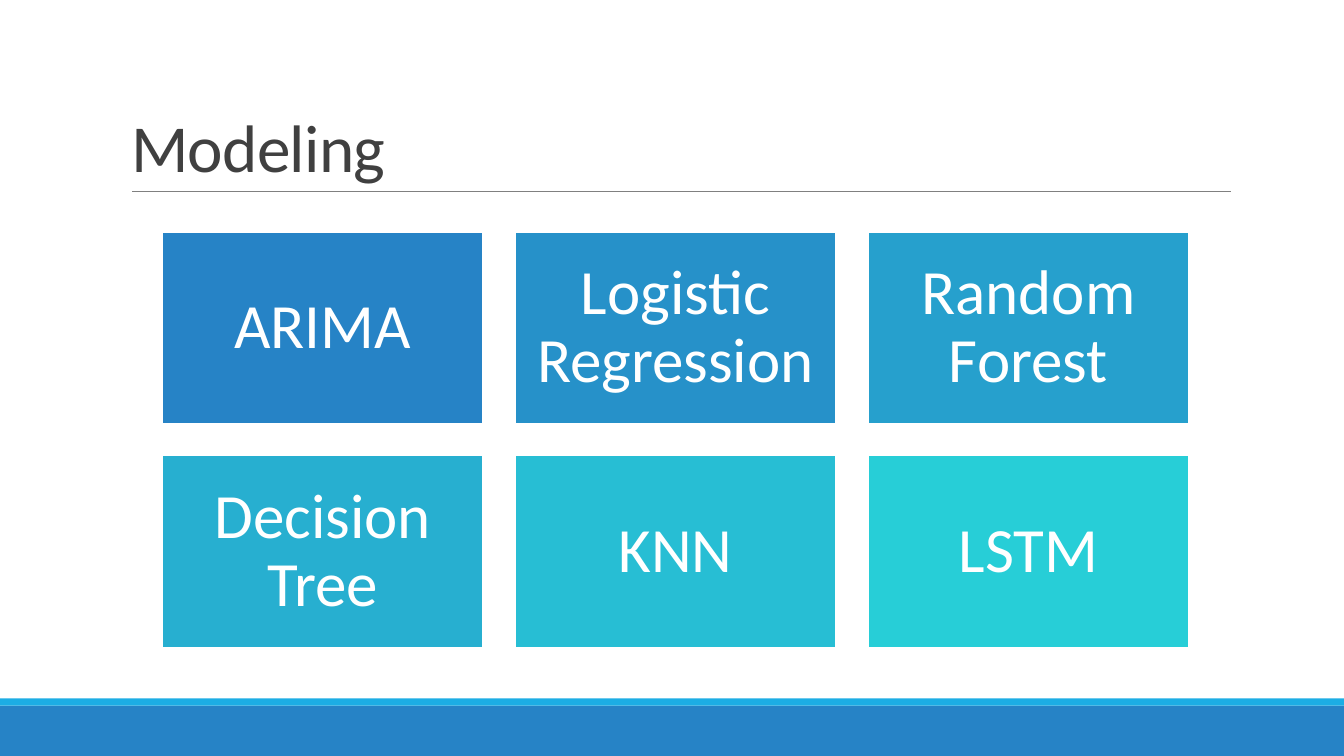
from dataclasses import dataclass

from lxml.etree import SubElement
from pptx import Presentation
from pptx.dml.color import RGBColor
from pptx.enum.shapes import MSO_CONNECTOR, MSO_SHAPE
from pptx.enum.text import MSO_ANCHOR, PP_ALIGN
from pptx.oxml.ns import qn
from pptx.util import Inches, Pt

# Content
TITLE = "Modeling"
MODELS = [
    ("ARIMA", "2683C6"),
    ("Logistic Regression", "2691C9"),
    ("Random Forest", "26A0CD"),
    ("Decision Tree", "27AFD0"),
    ("KNN", "27BED4"),
    ("LSTM", "27CED7"),
]
FOOTER_BANDS = [(7, 0.5, "2683C6"), (6.93, 0.07, "1CADE4")]  # top, height, colour


@dataclass(frozen=True)
class Theme:
    font: str = "Calibri"
    title_size: float = 48
    tile_size: float = 45
    title_color: str = "404040"
    rule_color: str = "808080"
    white: str = "FFFFFF"


THEME = Theme()

# Tile grid, in inches
COLUMNS = 3
GRID_LEFT, GRID_TOP = 1.61, 2.3
TILE_WIDTH, TILE_HEIGHT = 3.18, 1.91
STEP_X, STEP_Y = 3.5, 2.22
TILE_INSET = 0.19


def rgb(color):
    return RGBColor.from_string(color)


def add_rectangle(page, left, top, width, height, color):
    box = page.shapes.add_shape(
        MSO_SHAPE.RECTANGLE, Inches(left), Inches(top), Inches(width), Inches(height)
    )
    box.shadow.inherit = False
    box.fill.solid()
    box.fill.fore_color.rgb = rgb(color)
    box.line.fill.background()
    return box


def write(para, text, size, color, spacing):
    para.line_spacing = spacing
    span = para.add_run()
    span.text = text
    span.font.name = THEME.font
    span.font.size = Pt(size)
    span.font.color.rgb = rgb(color)
    return span


def add_title(page):
    box = page.shapes.title
    box.left, box.top = Inches(1.2), Inches(0.31)
    box.width, box.height = Inches(11), Inches(1.59)
    frame = box.text_frame
    frame.vertical_anchor = MSO_ANCHOR.BOTTOM
    para = frame.paragraphs[0]
    para.alignment = PP_ALIGN.LEFT
    span = write(para, TITLE, THEME.title_size, THEME.title_color, 0.85)
    span.font._element.set("spc", "-50")


def add_rule(page):
    rule = page.shapes.add_connector(
        MSO_CONNECTOR.STRAIGHT, Inches(1.31), Inches(1.9), Inches(12.21), Inches(1.9)
    )
    rule.line.color.rgb = rgb(THEME.rule_color)
    rule.line.width = Pt(0.5)
    SubElement(rule._element.spPr, qn("a:effectLst"))


def add_tile(page, index, name, color):
    row, column = divmod(index, COLUMNS)
    box = add_rectangle(
        page, GRID_LEFT + column * STEP_X, GRID_TOP + row * STEP_Y,
        TILE_WIDTH, TILE_HEIGHT, color,
    )
    box.line.color.rgb = rgb(THEME.white)
    box.line.width = Pt(1.25)
    frame = box.text_frame
    frame.word_wrap = True
    frame.vertical_anchor = MSO_ANCHOR.MIDDLE
    frame.margin_left = frame.margin_right = Inches(TILE_INSET)
    frame.margin_top = frame.margin_bottom = Inches(TILE_INSET)
    para = frame.paragraphs[0]
    para.alignment = PP_ALIGN.CENTER
    write(para, name, THEME.tile_size, THEME.white, 0.9)


def main():
    deck = Presentation()
    deck.slide_width, deck.slide_height = Inches(13.33), Inches(7.5)
    page = deck.slides.add_slide(deck.slide_layouts[5])

    # Footer bands
    for top, height, color in FOOTER_BANDS:
        add_rectangle(page, 0, top, 13.33, height, color)

    # Heading
    add_title(page)
    add_rule(page)

    # Model tiles
    for index, (name, color) in enumerate(MODELS):
        add_tile(page, index, name, color)

    deck.save("out.pptx")


if __name__ == "__main__":
    main()
